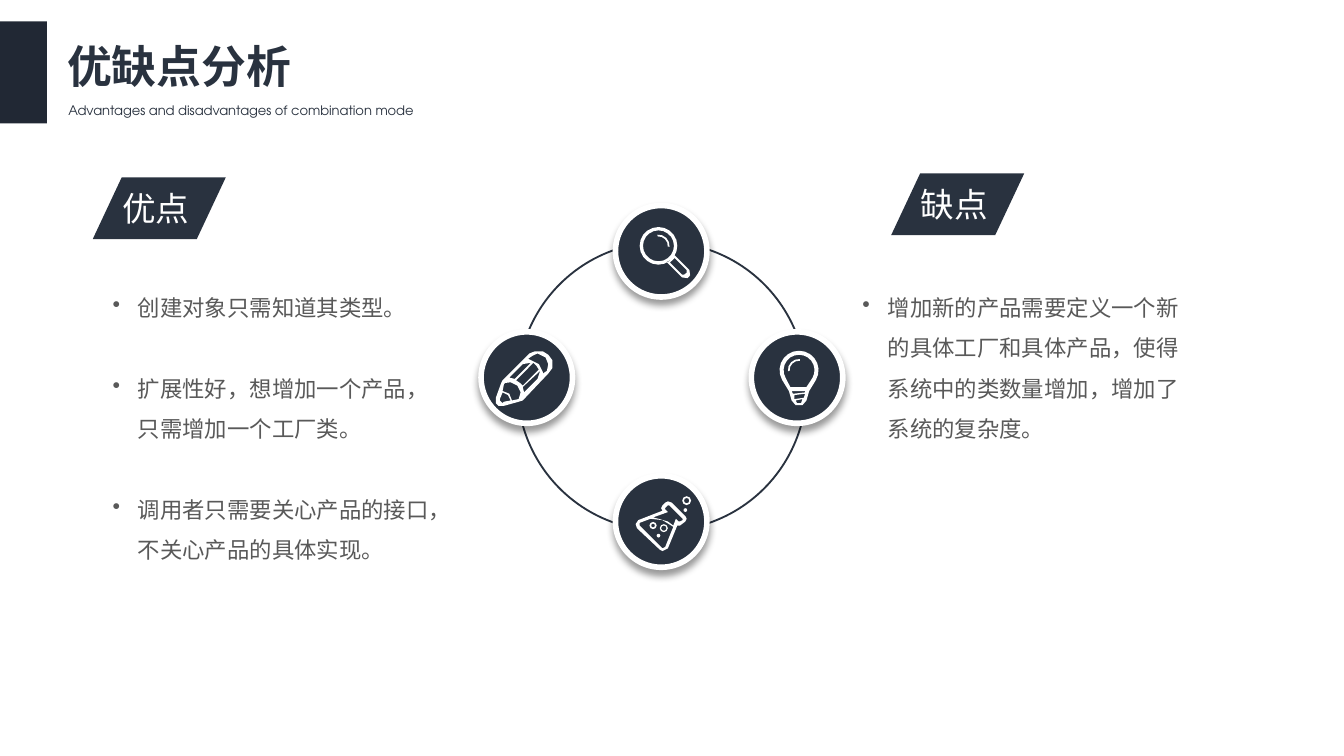
from math import cos, radians, sin

from lxml.etree import SubElement
from pptx import Presentation
from pptx.dml.color import RGBColor
from pptx.enum.shapes import MSO_SHAPE
from pptx.enum.text import MSO_ANCHOR, MSO_AUTO_SIZE, PP_ALIGN
from pptx.oxml.ns import qn
from pptx.util import Pt

COLORS = {"bar": "212834", "navy": "29323F", "white": "FFFFFF", "body": "595959", "shadow": "000000"}
CJK, LATIN, BODY = "Noto Sans CJK SC", "TeX Gyre Adventor", "Calibri"
TITLE = "优缺点分析"
SUBTITLE = "Advantages and disadvantages of combination mode"
COLUMNS = [
    {"label": "缺点", "tag": (477.4, 92.9), "list_left": 455,
     "points": ["增加新的产品需要定义一个新的具体工厂和具体产品，使得系统中的类数量增加，增加了系统的复杂度。"]},
    {"label": "优点", "tag": (49.7, 95), "list_left": 53.3,
     "points": ["创建对象只需知道其类型。",
                "扩展性好，想增加一个产品，只需增加一个工厂类。",
                "调用者只需要关心产品的接口，不关心产品的具体实现。"]},
]
BADGE_SIZE = 49
ICON_UNIT = 0.72


def arc(x, y, radius, start=0, end=360, steps=8):
    """Return points along a circular arc."""
    angles = [radians(start + (end - start) * i / steps) for i in range(steps + 1)]
    return [(x + radius * cos(a), y + radius * sin(a)) for a in angles]


def band(x, y, outer, inner, start, end):
    """Return the outline of a curved stroke."""
    return arc(x, y, outer, start, end, 4) + arc(x, y, inner, end, start, 4)


def ring(x, y, outer, inner, steps=8):
    """Return the two outlines of a ring."""
    return [arc(x, y, radius, steps=steps) for radius in (outer, inner)]


MAGNIFIER = [
    ring(-2, -4, 14, 11.5, 20) + [
        [(10, 3), (21, 14), (21.5, 18), (19.5, 20), (15.5, 19.5), (4, 8), (8, 6)],
        [(10, 5), (19, 14), (19, 16), (17, 17.5), (15.5, 17.5), (6.5, 8.5)]],
    [band(-2, -4, 8.3, 7, 265, 365)],
]
PENCIL = [[
    [(-18, 2), (-19, 4), (-23, 15), (-23, 19), (-21, 21), (-17, 21), (-6, 18), (-3, 17),
     (16, -3), (19, -7), (19, -13), (16, -17), (12, -19.5), (6, -19.5), (2, -18)],
    [(15, -5), (12, -3), (12, -4), (9, -10), (1, -14), (4, -16), (8, -18),
     (14, -15), (16, -10)],
    [(-11, 17), (-13, 12), (-18, 10), (-17, 5), (-16, 4), (-12, 3.5), (-7, 6),
     (-4.5, 11), (-6, 16)],
    [(-17, 18), (-18, 19), (-20, 17), (-20, 16), (-18, 11), (-14, 13), (-12, 17)],
    [(-9, 1), (-13, 0), (-3, -10), (3, -11)],
    [(-3, 6), (-5, 4), (-8, 2), (5, -11), (7, -9), (9, -6)],
    [(-2, 11), (-3, 7), (10, -5), (8, 1)],
]]
BULB = [
    [arc(1.5, -5.5, 14.5, 150, 390, 14) + [(9, 10), (7, 17), (4, 20.5), (-1, 20.5), (-4, 17), (-6, 10)],
     arc(1.5, -5.5, 11.5, 150, 390, 14) + [(7, 7), (-5, 7)],
     [(-4, 10), (6, 10), (6, 11), (-3, 12)],
     [(-2, 16), (-2, 13), (6, 12), (5, 15)],
     [(-1, 17), (4, 16), (3, 19), (0, 19)]],
    [band(1.5, -5.5, 8.3, 7, 175, 275)],
]
FLASK = [
    [[(8, -14), (5, -15), (3, -14), (1, -12), (0, -10), (1, -8), (-17, -1), (-19, 2),
      (-18, 5), (-1, 21), (1, 22), (5, 20), (12, 3), (14, 3), (18, 0), (19, -2), (18, -4)],
     [(16, -1), (14, 0), (13, 0), (11, -2), (9, 3), (5, 0), (-2, -2), (-6, -3),
      (5, -7), (3, -9), (3, -10), (5, -12), (6, -12), (16, -2)],
     [(3, 19), (1, 20), (0, 19), (-16, 3), (-16, 1), (-8, -2), (1, -1), (9, 4)]],
    ring(2, 5, 3, 2), ring(19, -15.5, 3.3, 2), ring(-6, 3, 2.7, 1.4),
    [arc(-2, 10.5, 1.4)], [arc(18, -8.5, 1.4)],
]
BADGES = [((354.2, 134.6), MAGNIFIER), ((282.2, 202.3), PENCIL),
          ((427, 202.3), BULB), ((354.2, 279.4), FLASK)]


def rgb(name):
    """Look up a colour by its role."""
    return RGBColor.from_string(COLORS[name])


def paint(shape, fill, line=None, width=0):
    """Set the fill and outline of a shape without a shadow."""
    shape.shadow.inherit = False
    if fill:
        shape.fill.solid()
        shape.fill.fore_color.rgb = rgb(fill)
    else:
        shape.fill.background()
    if line:
        shape.line.color.rgb = rgb(line)
        shape.line.width = Pt(width)
    else:
        shape.line.fill.background()


def add_filled(shapes, kind, box, fill, line=None, width=0):
    """Add a preset shape with its fill and outline."""
    shape = shapes.add_shape(kind, *map(Pt, box))
    paint(shape, fill, line, width)
    return shape


def write(shape, lines, size, face, color, bold=False, wrap=True):
    """Write paragraphs in one font and return them."""
    frame = shape.text_frame
    frame.text = "\n".join(lines)
    frame.word_wrap = wrap
    frame.auto_size = MSO_AUTO_SIZE.NONE
    frame.vertical_anchor = MSO_ANCHOR.TOP
    for paragraph in frame.paragraphs:
        paragraph.alignment = PP_ALIGN.LEFT
        font = paragraph.font
        font.size, font.name, font.bold = Pt(size), face, bold
        font.color.rgb = rgb(color)
        if face == CJK:
            SubElement(paragraph._p.pPr.find(qn("a:defRPr")), qn("a:ea"), typeface=face)
    return frame.paragraphs


def add_shadow(shape):
    """Drop a soft shadow below a shape."""
    effects = shape._element.spPr.find(qn("a:effectLst"))
    outer = SubElement(effects, qn("a:outerShdw"), blurRad=str(Pt(4)), dist=str(Pt(3)),
                       dir="5400000", algn="t", rotWithShape="0")
    tint = SubElement(outer, qn("a:srgbClr"), val=COLORS["shadow"])
    SubElement(tint, qn("a:alpha"), val="40000")


def add_icon(shapes, center, parts):
    """Draw the parts of an icon around the centre of its badge."""
    target = shapes.add_group_shape().shapes if len(parts) > 1 else shapes
    for outlines in parts:
        placed = [[tuple(Pt(c + ICON_UNIT * v) for c, v in zip(center, point)) for point in outline]
                  for outline in outlines]
        builder = target.build_freeform(*placed[0][0], scale=1.0)
        for i, outline in enumerate(placed):
            if i:
                builder.move_to(*outline[0])
            builder.add_line_segments(outline[1:], close=True)
        paint(builder.convert_to_shape(), "white")


def add_column(shapes, column):
    """Add a slanted tag and the bulleted list below it."""
    left, top = column["tag"]
    group = shapes.add_group_shape().shapes
    tag = add_filled(group, MSO_SHAPE.PARALLELOGRAM, (left, top, 71.3, 33.1), "navy")
    tag.adjustments[0] = 0.47
    label = group.add_textbox(*map(Pt, (left + 8.6, top + 2.2, 59, 29)))
    write(label, [column["label"]], 18, CJK, "white")
    listing = shapes.add_textbox(*map(Pt, (column["list_left"], 146.9, 191.5, 172.8)))
    for i, paragraph in enumerate(write(listing, column["points"], 12, BODY, "body")):
        paragraph.line_spacing = 1.5
        paragraph.space_before = Pt(21.6 if i else 0)
        properties = paragraph._p.pPr
        properties.set("marL", str(Pt(13.5)))
        properties.set("indent", str(Pt(-13.5)))
        bullet = properties.makeelement(qn("a:buChar"), {"char": "•"})
        properties.find(qn("a:defRPr")).addprevious(bullet)


def main():
    """Build the slide and save it."""
    deck = Presentation()
    deck.slide_width, deck.slide_height = Pt(720), Pt(405)
    slide = deck.slides.add_slide(deck.slide_layouts[5])
    shapes = slide.shapes
    add_filled(shapes, MSO_SHAPE.RECTANGLE, (0, 11.5, 25.2, 54.7), "bar")
    title = shapes.title
    title.left, title.top, title.width, title.height = map(Pt, (28.8, 17.3, 134.6, 36))
    write(title, [TITLE], 24, CJK, "navy", bold=True, wrap=False)
    subtitle = shapes.add_textbox(*map(Pt, (29.5, 51.1, 201.6, 15.8)))
    write(subtitle, [SUBTITLE], 7, LATIN, "navy", wrap=False)
    add_filled(shapes, MSO_SHAPE.OVAL, (277.2, 129.6, 154.8, 154.8), None, "navy", 1)
    for (x, y), _ in BADGES:
        box = (x - BADGE_SIZE / 2, y - BADGE_SIZE / 2, BADGE_SIZE, BADGE_SIZE)
        add_shadow(add_filled(shapes, MSO_SHAPE.OVAL, box, "navy", "white", 3))
    for center, icon in BADGES:
        add_icon(shapes, center, icon)
    for column in COLUMNS:
        add_column(shapes, column)
    deck.save("out.pptx")


if __name__ == "__main__":
    main()
